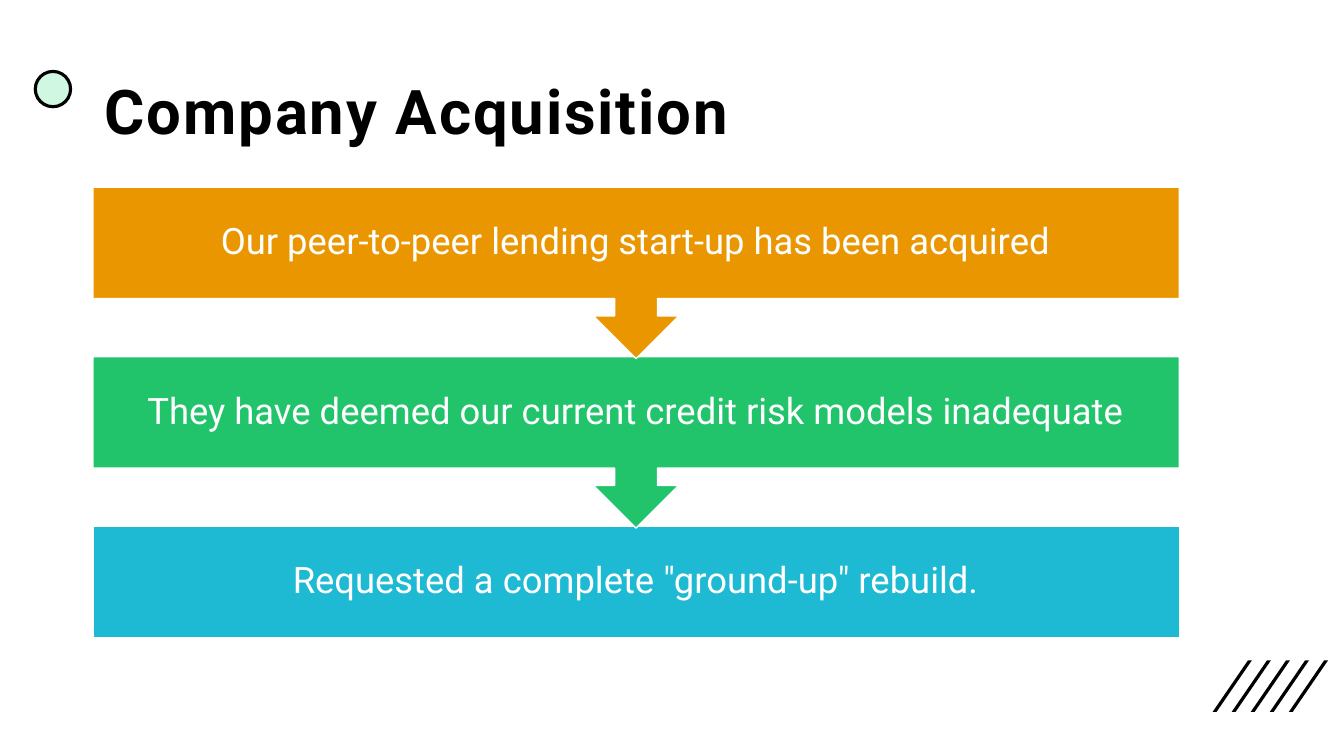
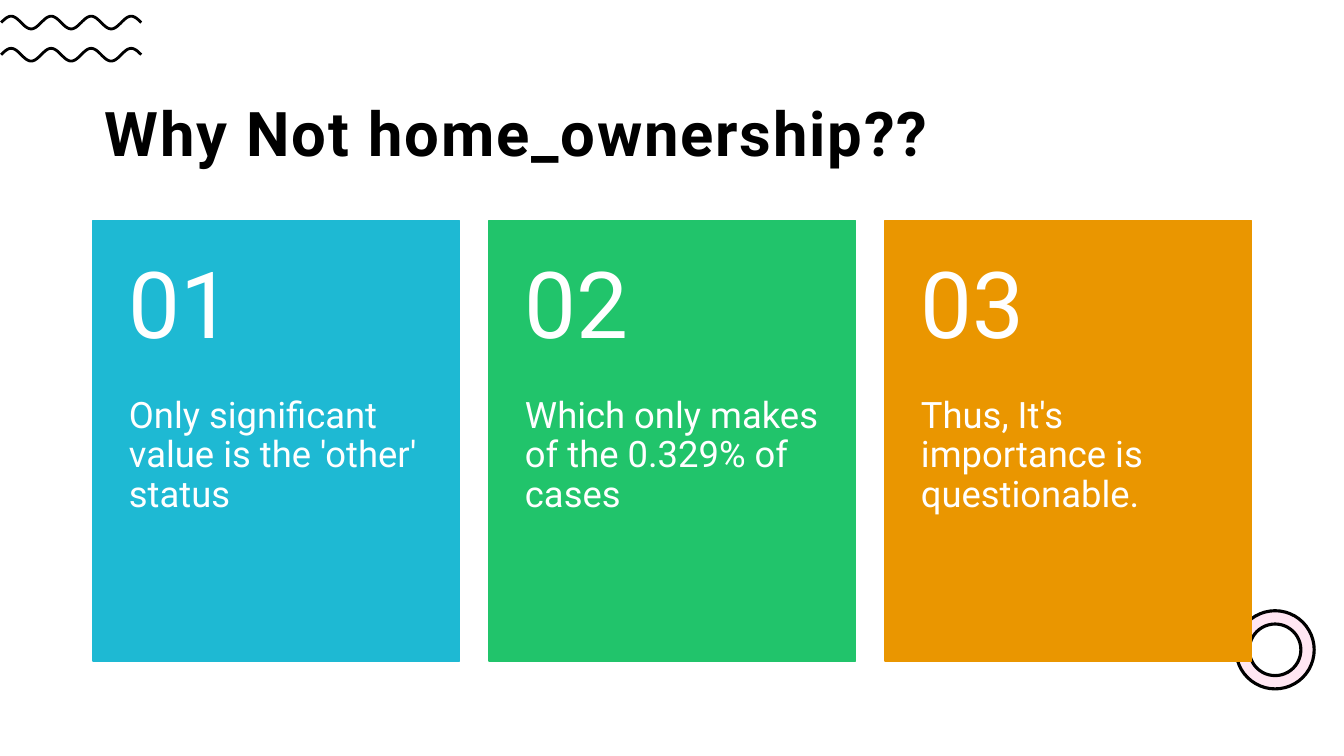
from math import pi, sin

from pptx import Presentation
from pptx.dml.color import RGBColor
from pptx.enum.shapes import MSO_SHAPE
from pptx.enum.text import MSO_ANCHOR, PP_ALIGN
from pptx.util import Cm, Pt

RECT, OVAL, DONUT = MSO_SHAPE.RECTANGLE, MSO_SHAPE.OVAL, MSO_SHAPE.DONUT
SLASH, CALLOUT = MSO_SHAPE.PARALLELOGRAM, MSO_SHAPE.DOWN_ARROW_CALLOUT
TOP, MIDDLE = MSO_ANCHOR.TOP, MSO_ANCHOR.MIDDLE
LEFT, CENTER = PP_ALIGN.LEFT, PP_ALIGN.CENTER

FONT = "Roboto"
BLACK, WHITE = "000000", "FFFFFF"
ORANGE, GREEN, BLUE = "EA9600", "21C46B", "1EB9D3"
MINT, PINK = "CFF7E1", "FFE6F2"

# Lengths in centimetres
SLIDE_W, SLIDE_H = 33.87, 19.05
MARGIN = 2.34
TITLE_W, TITLE_H = 29.21, 3.68

STEPS_TITLE = "Company Acquisition"
STEPS = [
    ("Our peer-to-peer lending start-up has been acquired", ORANGE),
    ("They have deemed our current credit risk models inadequate", GREEN),
    ('Requested a complete "ground-up" rebuild.', BLUE),
]
STEP_TOP, STEP_PITCH, STEP_W = 4.72, 4.27, 27.38
CALLOUT_H, LAST_H = 4.32, 2.81

CARDS_TITLE = "Why Not home_ownership??"
CARDS = [
    ("01", "Only significant value is the 'other' status", BLUE),
    ("02", "Which only makes of the 0.329% of cases", GREEN),
    ("03", "Thus, It's importance is questionable.", ORANGE),
]
CARD_TOP, CARD_W, CARD_H, CARD_GAP = 5.56, 9.24, 11.1, 0.74
NUMBER_H = 4.45


def color(value):
    return RGBColor.from_string(value)


def add_shape(s, kind, box, fill, line=None, width=1):
    sp = s.shapes.add_shape(kind, *map(Cm, box))
    sp.shadow.inherit = False
    sp.fill.solid()
    sp.fill.fore_color.rgb = color(fill)
    if line:
        sp.line.color.rgb = color(line)
        sp.line.width = Pt(width)
    else:
        sp.line.fill.background()
    return sp


def write(sp, text, size, margins, ink=WHITE, bold=False, anchor=MIDDLE, align=LEFT):
    """Fill a shape with one paragraph; margins run left, top, right, bottom."""
    tf = sp.text_frame
    tf.word_wrap = True
    tf.vertical_anchor = anchor
    for side, margin in zip(("left", "top", "right", "bottom"), margins):
        setattr(tf, f"margin_{side}", Cm(margin))
    p = tf.paragraphs[0]
    p.alignment, p.line_spacing = align, 0.9
    r = p.add_run()
    r.text = text
    for name, value in {"name": FONT, "size": Pt(size), "bold": bold}.items():
        setattr(r.font, name, value)
    r.font.color.rgb = color(ink)
    return r


def add_text(s, box, *args, **options):
    return write(s.shapes.add_textbox(*map(Cm, box)), *args, **options)


def add_title(s, text, top):
    r = add_text(s, (MARGIN, top, TITLE_W, TITLE_H), text, 44,
                 (0.3, 0.3, 0.3, 0.25), ink=BLACK, bold=True)
    r.font._element.set("spc", "130")


def add_slashes(s, left, top, count=5, pitch=0.48):
    for i in range(count):
        sp = add_shape(s, SLASH, (left + i * pitch, top, 0.99, 1.3), BLACK)
        sp.adjustments[0] = 0.9


def add_wave(s, middle, left=0.03, length=3.53, height=0.16, half_periods=7):
    count = 140
    points = [(Cm(left + length * i / count),
               Cm(middle - height * sin(half_periods * pi * i / count)))
              for i in range(count + 1)]
    builder = s.shapes.build_freeform(*points[0])
    builder.add_line_segments(points[1:], close=False)
    sp = builder.convert_to_shape()
    sp.shadow.inherit = False
    sp.fill.background()
    sp.line.color.rgb = color(BLACK)
    sp.line.width = Pt(2)


def build_steps(s):
    add_slashes(s, 30.56, 16.64)
    add_shape(s, OVAL, (0.89, 1.8, 0.89, 0.89), MINT, BLACK, 2.25)
    add_title(s, STEPS_TITLE, 1.02)
    last = len(STEPS) - 1
    # Bottom step first, so that each arrow tip lies over the step below
    for i, (text, fill) in reversed(list(enumerate(STEPS))):
        kind, height = (RECT, LAST_H) if i == last else (CALLOUT, CALLOUT_H)
        box = (MARGIN, STEP_TOP + i * STEP_PITCH, STEP_W, height)
        sp = add_shape(s, kind, box, fill, WHITE)
        write(sp, text, 26, (0.51,) * 4, align=CENTER)


def build_cards(s):
    add_title(s, CARDS_TITLE, 1.57)
    for middle in (0.57, 1.38):
        add_wave(s, middle)
    ring = add_shape(s, DONUT, (31.15, 15.39, 1.97, 1.97), PINK, BLACK, 2.25)
    ring.adjustments[0] = 0.17
    for i, (number, text, fill) in enumerate(CARDS):
        left = MARGIN + i * (CARD_W + CARD_GAP)
        card = add_shape(s, RECT, (left, CARD_TOP, CARD_W, CARD_H), fill, fill)
        write(card, text, 26, (0.91, NUMBER_H, 0.91, 0.91), anchor=TOP)
        add_text(s, (left, CARD_TOP, CARD_W, NUMBER_H), number, 66,
                 (0.91, 0.46, 0.91, 0.46))


def main():
    prs = Presentation()
    prs.slide_width, prs.slide_height = Cm(SLIDE_W), Cm(SLIDE_H)
    for build in (build_steps, build_cards):
        build(prs.slides.add_slide(prs.slide_layouts[6]))
    prs.save("out.pptx")


if __name__ == "__main__":
    main()
